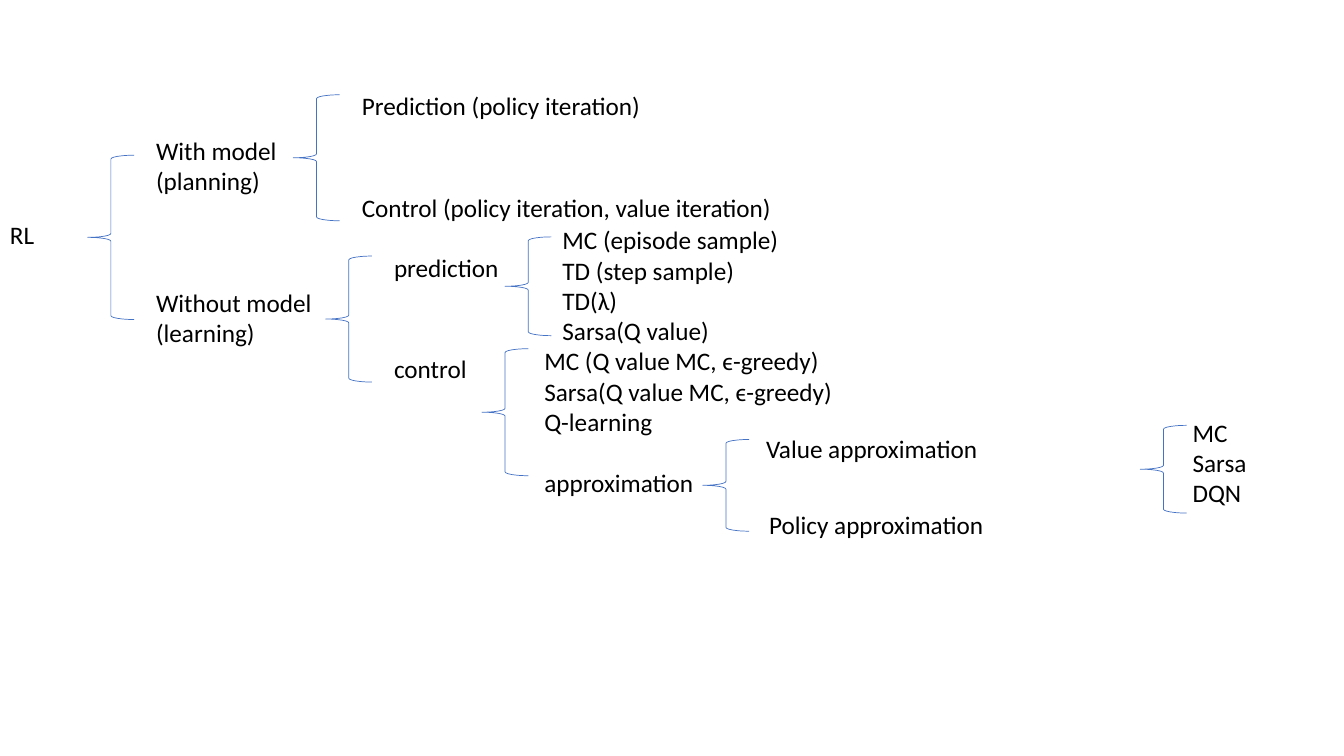
from dataclasses import dataclass

from pptx import Presentation
from pptx.dml.color import RGBColor
from pptx.enum.shapes import MSO_SHAPE
from pptx.enum.text import MSO_AUTO_SIZE
from pptx.slide import Slide
from pptx.util import Inches, Pt

COLORS = {"text": "000000", "brace": "4472C4"}
FONT_FORMAT = {"name": "Calibri", "size": Pt(18)}
FRAME_FORMAT = {"word_wrap": True, "auto_size": MSO_AUTO_SIZE.SHAPE_TO_FIT_TEXT}
BRACE_WIDTH = 0.46
LINE_HEIGHT = 0.303
FRAME_PADDING = 0.1


@dataclass(frozen=True)
class Label:
    """A text box of the tree, with one paragraph for each line."""

    left: float
    top: float
    width: float
    lines: tuple[str, ...]
    rows: int = 1
    gap_before_last: float = 0


@dataclass(frozen=True)
class Brace:
    """A left brace that opens a branch of the tree."""

    left: float
    top: float
    height: float


LABELS = (
    Label(0, 2.13, 0.63, ("RL",)),
    Label(1.45, 1.29, 2.13, ("With model (planning)",), rows=2),
    Label(1.45, 2.8, 2.13, ("Without model (learning)",), rows=2),
    Label(3.49, 0.85, 3.21, ("Prediction (policy iteration)",)),
    Label(3.49, 1.86, 4.94, ("Control (policy iteration, value iteration)",)),
    Label(3.81, 2.45, 2.13, ("prediction",)),
    Label(3.81, 3.46, 2.13, ("control",)),
    Label(5.48, 2.18, 3.21,
          ("MC (episode sample)", "TD (step sample)", "TD(λ)", "Sarsa(Q value)"), rows=4),
    Label(5.3, 3.38, 3.21,
          ("MC (Q value MC, ϵ-greedy)", "Sarsa(Q value MC, ϵ-greedy)", "Q-learning",
           "approximation"), rows=5, gap_before_last=22),
    Label(7.5, 4.25, 3.21, ("Value approximation",)),
    Label(7.53, 5, 2.92, ("Policy approximation",)),
    Label(11.73, 4.09, 1.43, ("MC", "Sarsa", "DQN"), rows=3),
)

BRACES = (
    Brace(0.87, 1.54, 1.63),
    Brace(2.91, 0.94, 1.25),
    Brace(3.23, 2.54, 1.25),
    Brace(5.01, 2.35, 0.98),
    Brace(4.78, 3.46, 1.26),
    Brace(6.97, 4.36, 0.91),
    Brace(11.31, 4.22, 0.87),
)


def apply_format(target: object, values: dict[str, object]) -> None:
    """Set each named format value on the target."""
    for name, value in values.items():
        setattr(target, name, value)


def draw_label(page: Slide, label: Label) -> None:
    """Add the text box of a label."""
    height = FRAME_PADDING + LINE_HEIGHT * label.rows
    box = page.shapes.add_textbox(
        Inches(label.left), Inches(label.top), Inches(label.width), Inches(height))
    frame = box.text_frame
    apply_format(frame, FRAME_FORMAT)
    frame.text = "\n".join(label.lines)
    for para in frame.paragraphs:
        for span in para.runs:
            apply_format(span.font, FONT_FORMAT)
            span.font.color.rgb = RGBColor.from_string(COLORS["text"])
    if label.gap_before_last:
        frame.paragraphs[-1].space_before = Pt(label.gap_before_last)


def draw_brace(page: Slide, brace: Brace) -> None:
    """Add an unfilled, thin left brace."""
    shape = page.shapes.add_shape(
        MSO_SHAPE.LEFT_BRACE, Inches(brace.left), Inches(brace.top),
        Inches(BRACE_WIDTH), Inches(brace.height))
    shape.shadow.inherit = False
    shape.fill.background()
    shape.line.color.rgb = RGBColor.from_string(COLORS["brace"])
    shape.line.width = Pt(0.5)


def main() -> None:
    """Build the tree of reinforcement learning methods."""
    deck = Presentation()
    apply_format(deck, {"slide_width": Inches(13.33), "slide_height": Inches(7.5)})
    page = deck.slides.add_slide(deck.slide_layouts[6])
    for brace in BRACES:
        draw_brace(page, brace)
    for label in LABELS:
        draw_label(page, label)
    deck.save("out.pptx")


if __name__ == "__main__":
    main()
